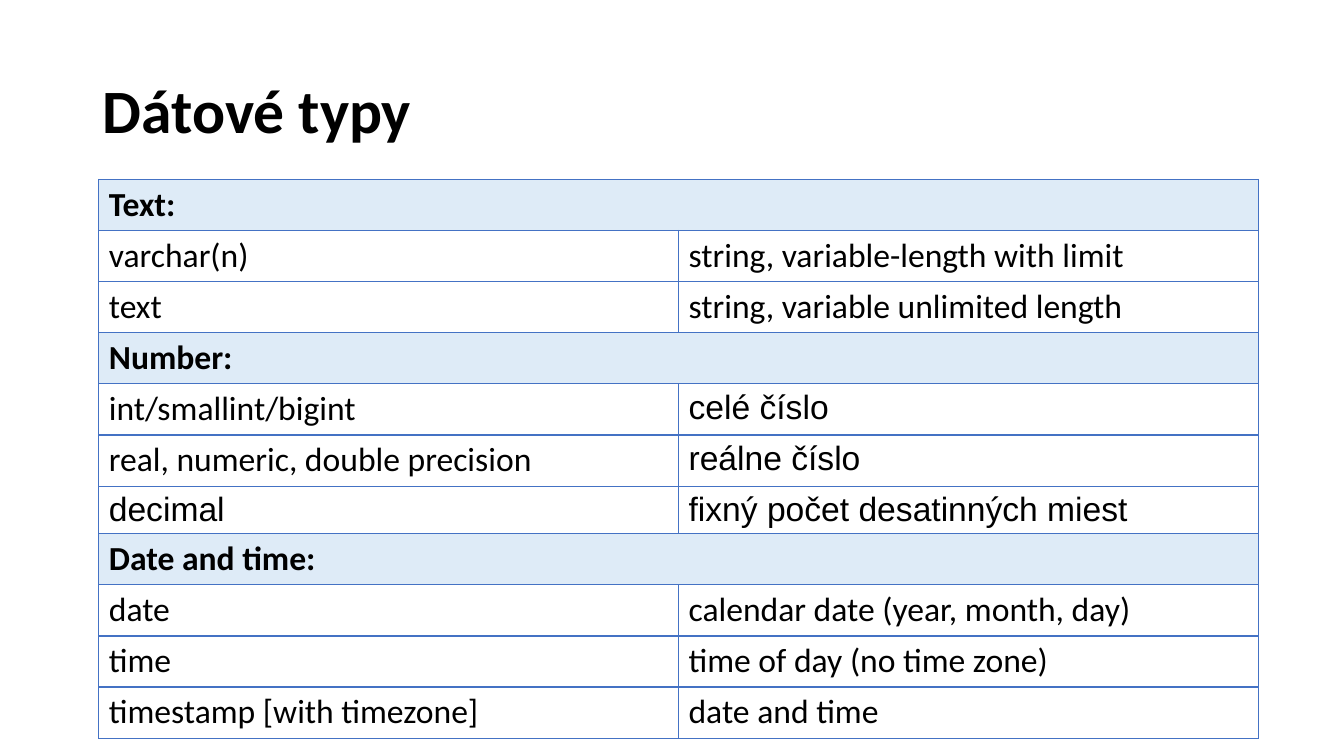
from lxml.etree import SubElement
from pptx import Presentation
from pptx.dml.color import RGBColor
from pptx.enum.text import MSO_ANCHOR as Anchor, PP_ALIGN as Align
from pptx.oxml.ns import qn
from pptx.util import Inches, Pt

BLACK = RGBColor(0x00, 0x00, 0x00)
BLUE = RGBColor(0x44, 0x72, 0xC4)
PALE = RGBColor(0xDE, 0xEB, 0xF7)
SANS, ARIAL = "Calibri", "Arial"

# Group heading, then its rows: type, font, meaning, font
GROUPS = [
    ("Text:", [
        ("varchar(n)", SANS, "string, variable-length with limit", SANS),
        ("text", SANS, "string, variable unlimited length", SANS),
    ]),
    ("Number:", [
        ("int/smallint/bigint", SANS, "celé číslo", ARIAL),
        ("real, numeric, double precision", SANS, "reálne číslo", ARIAL),
        ("decimal", ARIAL, "fixný počet desatinných miest", ARIAL),
    ]),
    ("Date and time:", [
        ("date", SANS, "calendar date (year, month, day)", SANS),
        ("time", SANS, "time of day (no time zone)", SANS),
        ("timestamp [with timezone]", SANS, "date and time", SANS),
    ]),
]


def write(frame, text, size, face, bold=False):
    """Add one black run to the first paragraph of a text frame."""
    para = frame.paragraphs[0]
    para.alignment = Align.LEFT
    run = para.add_run()
    run.text = text
    font = run.font
    font.size, font.name, font.bold = Pt(size), face, bold
    font.color.rgb = BLACK
    return para


def border(cell):
    """Draw a thin blue line on all four sides of a cell."""
    props = cell._tc.get_or_add_tcPr()
    for side in ("lnL", "lnR", "lnT", "lnB"):
        line = SubElement(props, qn("a:" + side), w=str(Pt(0.96)))
        fill = SubElement(line, qn("a:solidFill"))
        SubElement(fill, qn("a:srgbClr"), val=str(BLUE))


deck = Presentation()
deck.slide_width, deck.slide_height = Inches(13.33), Inches(7.5)
slide = deck.slides.add_slide(deck.slide_layouts[5])

title = slide.shapes.title
title.left, title.top = Inches(0.92), Inches(0.4)
title.width, title.height = Inches(11.5), Inches(1.45)
title.text_frame.vertical_anchor = Anchor.MIDDLE
write(title.text_frame, "Dátové typy", 44, SANS, True).line_spacing = 0.9

count = sum(1 + len(types) for _, types in GROUPS)
table = slide.shapes.add_table(count, 2, Inches(0.98), Inches(1.78),
                               Inches(11.5), Inches(0.5) * count).table
table.first_row = table.horz_banding = False
for cell in table.iter_cells():
    border(cell)
    cell.fill.background()

row = 0
for head, types in GROUPS:
    cell = table.cell(row, 0)
    cell.merge(table.cell(row, 1))
    cell.fill.solid()
    cell.fill.fore_color.rgb = PALE
    write(cell.text_frame, head, 24, SANS, True)
    row += 1
    for name, face, sense, font in types:
        write(table.cell(row, 0).text_frame, name, 24, face)
        write(table.cell(row, 1).text_frame, sense, 24, font)
        if face == ARIAL:
            table.rows[row].height = Inches(0.47)
        row += 1

deck.save("out.pptx")
